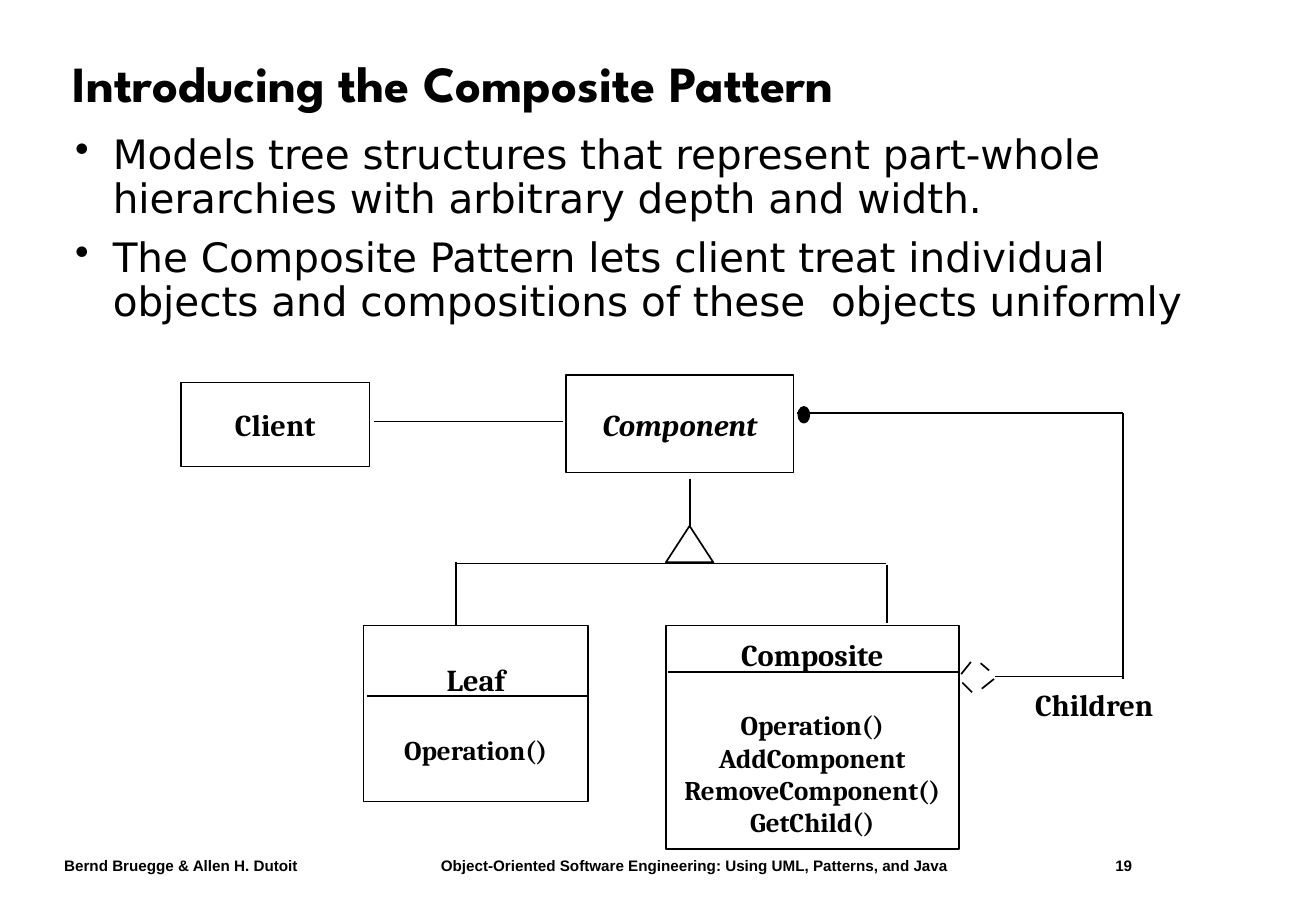
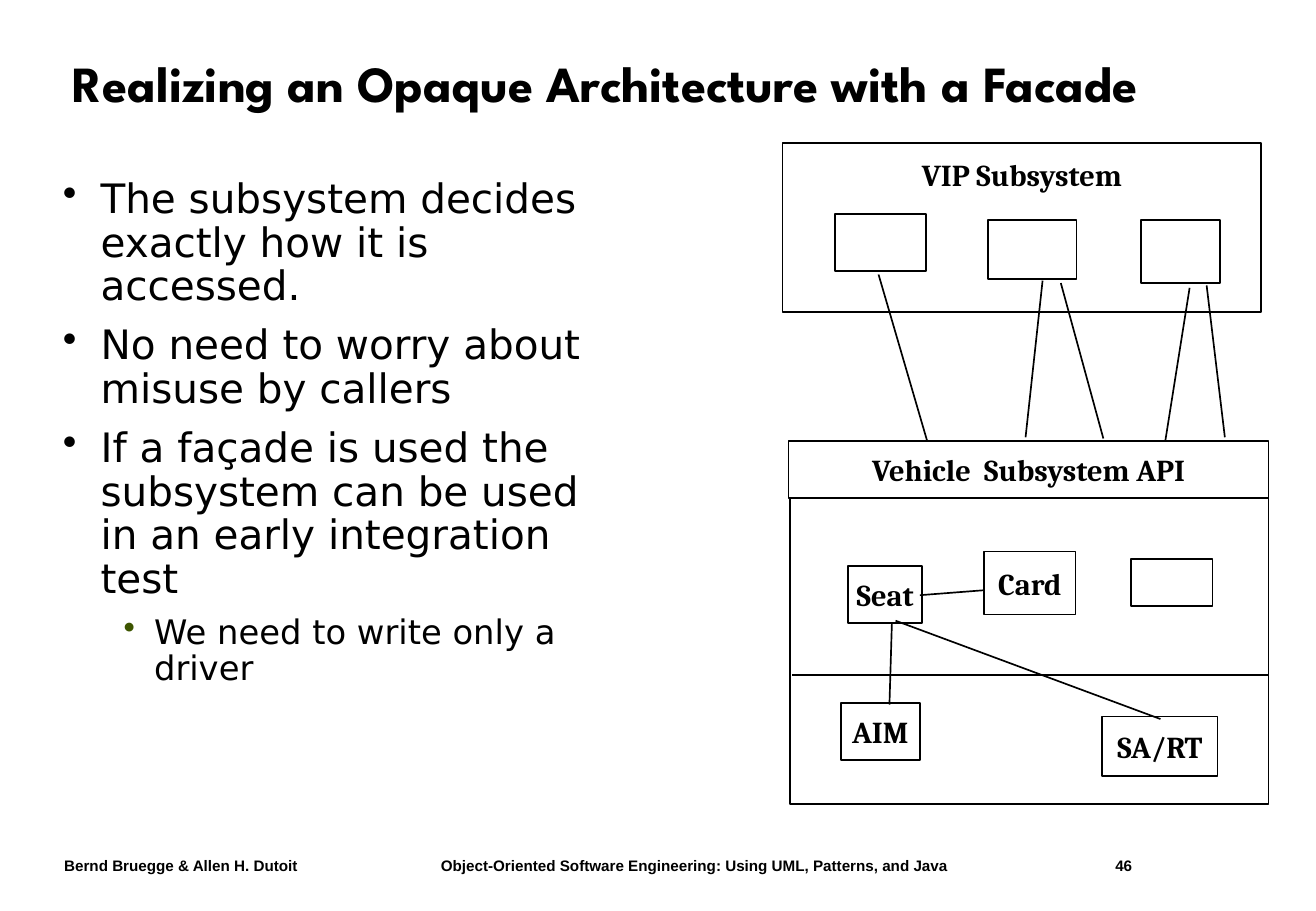
from lxml.etree import SubElement
from pptx import Presentation
from pptx.dml.color import RGBColor
from pptx.enum.shapes import MSO_CONNECTOR as LINK, MSO_SHAPE as SHAPE
from pptx.enum.text import MSO_ANCHOR as ANCHOR, MSO_AUTO_SIZE as FIT, PP_ALIGN as ALIGN
from pptx.oxml.ns import qn
from pptx.util import Inches, Pt

COLORS = {"ink": "000000", "paper": "FFFFFF", "subbullet": "3D5500"}
COLUMN = ROW = Inches(0.1)

FONTS = {
    "title": {"name": "League Spartan", "size": Pt(30), "bold": True},
    "point": {"name": "DejaVu Sans", "size": Pt(24)},
    "subpoint": {"name": "DejaVu Sans", "size": Pt(20)},
    "class": {"name": "Cambria", "size": Pt(18), "bold": True},
    "abstract": {"name": "Cambria", "size": Pt(18), "bold": True, "italic": True},
    "method": {"name": "Cambria", "size": Pt(16), "bold": True},
    "footer": {"name": "Arial", "size": Pt(9), "bold": True},
}
PARAGRAPHS = {
    "title": {"alignment": ALIGN.LEFT, "line_spacing": 0.9},
    "point": {"line_spacing": 0.9, "space_before": Pt(9)},
    "subpoint": {"line_spacing": 0.9, "space_before": Pt(7.5), "level": 1},
    "class": {"alignment": ALIGN.CENTER},
    "abstract": {"alignment": ALIGN.CENTER},
    "method": {"alignment": ALIGN.CENTER},
    "footer": {"alignment": ALIGN.LEFT},
}
BULLETS = {"point": (0.31, 0.31, "ink"), "subpoint": (0.75, 0.25, "subbullet")}
FOOTER_TABS = (3.1, 8.65)
BLANK_LINE = Pt(21.5)

SLIDES = [
    {
        "title": "Introducing the Composite Pattern",
        "number": 19,
        "body": (5.2, 10.6, 98.6, 59.4),
        "points": [
            ("point", "Models tree structures that represent part-whole hierarchies with arbitrary depth and width."),
            ("point", "The Composite Pattern lets client treat individual objects and compositions of these  objects uniformly"),
        ],
        "boxes": [
            ((14.9, 31.5, 15.5, 6.9), [("class", "Client")]),
            ((46.6, 30.9, 18.7, 8), [("abstract", "Component")]),
            ((29.9, 51.5, 18.5, 14.5), [("class", "Leaf"), ("method", "Operation()")]),
            ((54.8, 51.5, 24.1, 18.4), [
                ("class", "Composite"), ("method", "Operation()"), ("method", "AddComponent"),
                ("method", "RemoveComponent()"), ("method", "GetChild()"),
            ]),
        ],
        "symbols": [
            (SHAPE.ISOSCELES_TRIANGLE, (54.8, 43.3, 3.9, 3), "paper"),
            (SHAPE.OVAL, (65.7, 33.5, 0.9, 1.3), "ink"),
        ],
        "labels": [((83.9, 56, 12.3, 4), "Children")],
        "lines": [
            (56.8, 39.4, 56.8, 43.5), (30.8, 34.7, 46.3, 34.7),
            (37.6, 46.4, 72.9, 46.4), (73, 46.5, 73, 51.3), (37.5, 46.3, 37.5, 51.5),
            (81.9, 55.7, 92.4, 55.7), (92.4, 55.9, 92.4, 34), (92.4, 34, 65.6, 34),
            (79.1, 55.5, 79.9, 54.5), (80.7, 54.6, 81.4, 55.2),
            (81.8, 55.9, 80.8, 56.7), (80, 57, 79.2, 56.2),
            (30.2, 57.3, 48.3, 57.3), (55, 55.3, 78.9, 55.3),
        ],
    },
    {
        "title": "Realizing an Opaque Architecture with a Facade",
        "number": 46,
        "body": (4.2, 14.2, 48, 53.8),
        "points": [
            ("point", "The subsystem decides exactly how it is accessed."),
            ("point", "No need to worry about misuse by callers"),
            ("point", "If a façade is used the subsystem can be used in an early integration test"),
            ("subpoint", "We need to write only a driver"),
        ],
        "boxes": [
            ((64.4, 11.8, 39.4, 13.9), []),
            ((65, 40.8, 39.4, 25.4), []),
            ((69.2, 57.9, 6.5, 4.7), [("class", "AIM")]),
            ((81, 45.4, 7.5, 5.2), [("class", "Card")]),
            ((93.1, 46, 6.7, 3.9), []),
            ((90.7, 59, 9.5, 4.9), [("class", "SA/RT")]),
            ((69.8, 46.6, 6.1, 4.7), [("class", "Seat")]),
            ((68.7, 17.6, 7.5, 4.7), []),
            ((81.3, 18.1, 7.3, 4.9), []),
            ((93.9, 18.1, 6.5, 5.2), []),
            ((64.9, 36.3, 39.5, 4.7), [("class", "Vehicle  Subsystem API")]),
        ],
        "symbols": [],
        "labels": [((64.4, 12.4, 39.4, 4), "VIP Subsystem")],
        "lines": [
            (72.3, 22.6, 76.3, 36.3), (85.8, 23.1, 84.4, 36), (97.9, 23.7, 95.9, 36.3),
            (99.3, 23.5, 100.8, 36), (87.3, 23.3, 90.8, 36.1), (65.2, 55.6, 104.4, 55.6),
            (73.4, 51.3, 73.2, 58), (73.7, 51.1, 95.5, 59.2), (75.7, 49, 80.9, 48.6),
        ],
    },
]


def grid(at):
    return [int(value * unit) for value, unit in zip(at, (COLUMN, ROW, COLUMN, ROW))]


def write(frame, content, anchor=ANCHOR.TOP, wrap=True):
    frame.auto_size = FIT.NONE
    frame.word_wrap = wrap
    frame.vertical_anchor = anchor
    previous = None
    for index, (style, text) in enumerate(content):
        paragraph = frame.paragraphs[0] if index == 0 else frame.add_paragraph()
        run = paragraph.add_run()
        run.text = text
        for target, values in ((paragraph, PARAGRAPHS[style]), (run.font, FONTS[style])):
            for key, value in values.items():
                setattr(target, key, value)
        run.font.color.rgb = RGBColor.from_string(COLORS["ink"])
        if style == "method" and previous == "class":
            paragraph.space_before = BLANK_LINE
        properties = paragraph._p.get_or_add_pPr()
        if style in BULLETS:
            margin, hang, color = BULLETS[style]
            properties.set("marL", str(Inches(margin)))
            properties.set("indent", str(-Inches(hang)))
            SubElement(SubElement(properties, qn("a:buClr")), qn("a:srgbClr"), val=COLORS[color])
            SubElement(properties, qn("a:buChar"), char="•")
        if style == "footer":
            tabs = SubElement(properties, qn("a:tabLst"))
            for stop in FOOTER_TABS:
                SubElement(tabs, qn("a:tab"), pos=str(Inches(stop)), algn="l")
        previous = style


deck = Presentation()
deck.slide_width, deck.slide_height = Inches(10.83), Inches(7.5)

for content in SLIDES:
    slide = deck.slides.add_slide(deck.slide_layouts[5])
    shapes = slide.shapes

    title = shapes.title
    title.left, title.top, title.width, title.height = grid((5, 2.4, 96.6, 9.4))
    write(title.text_frame, [("title", content["title"])], ANCHOR.MIDDLE)

    footer = shapes.add_textbox(*grid((4.3, 70, 99.3, 2.5)))
    footer_text = "\t".join((
        "Bernd Bruegge & Allen H. Dutoit",
        "Object-Oriented Software Engineering: Using UML, Patterns, and Java",
        str(content["number"]),
    ))
    write(footer.text_frame, [("footer", footer_text)])

    body = shapes.add_textbox(*grid(content["body"]))
    write(body.text_frame, content["points"])

    boxes = [(SHAPE.RECTANGLE, at, "paper", text) for at, text in content["boxes"]]
    symbols = [(kind, at, fill, []) for kind, at, fill in content["symbols"]]
    for kind, at, fill, text in boxes + symbols:
        box = shapes.add_shape(kind, *grid(at))
        box.shadow.inherit = False
        box.fill.solid()
        box.fill.fore_color.rgb = RGBColor.from_string(COLORS[fill])
        box.line.color.rgb = RGBColor.from_string(COLORS["ink"])
        box.line.width = Pt(1)
        write(box.text_frame, text, ANCHOR.MIDDLE, wrap=False)

    for start_x, start_y, end_x, end_y in content["lines"]:
        line = shapes.add_connector(LINK.STRAIGHT, *grid((start_x, start_y, end_x, end_y)))
        line.line.color.rgb = RGBColor.from_string(COLORS["ink"])
        line.line.width = Pt(1)
        SubElement(line._element.spPr, qn("a:effectLst"))

    for at, text in content["labels"]:
        label = shapes.add_textbox(*grid(at))
        write(label.text_frame, [("class", text)])

deck.save("out.pptx")
